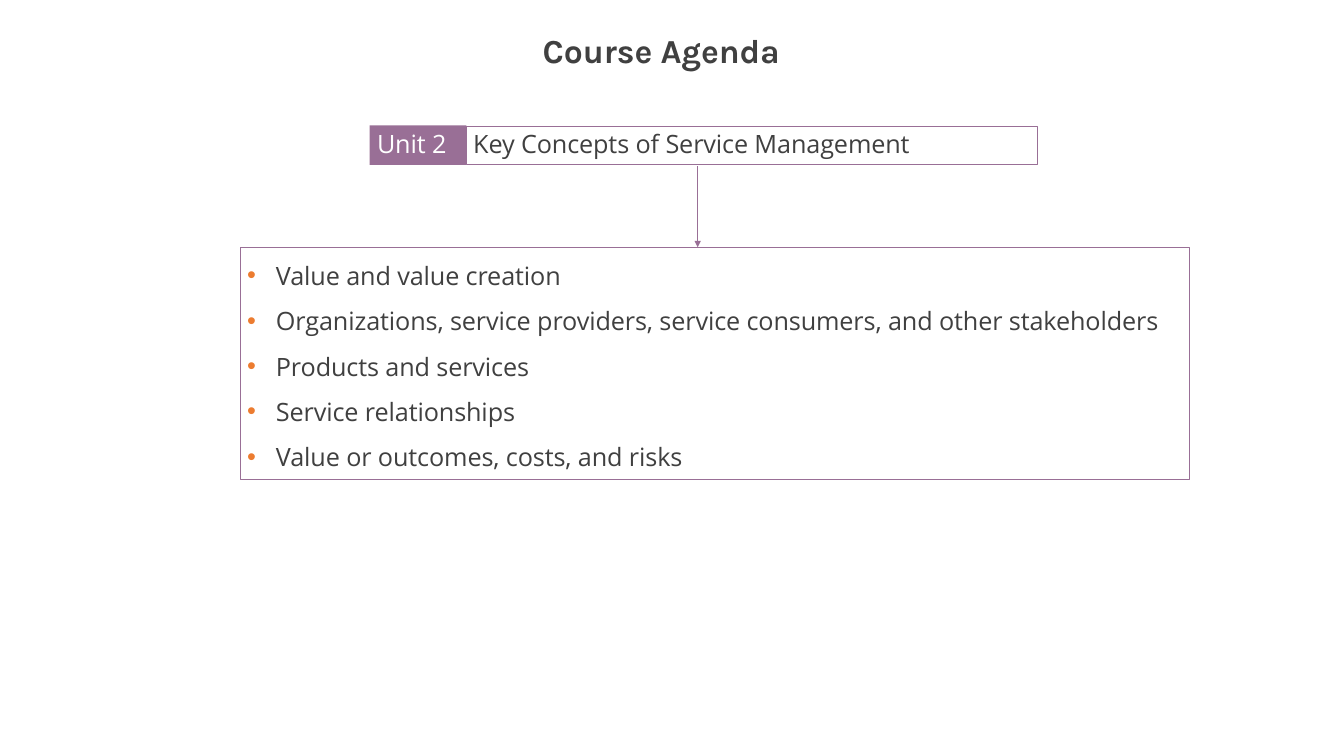
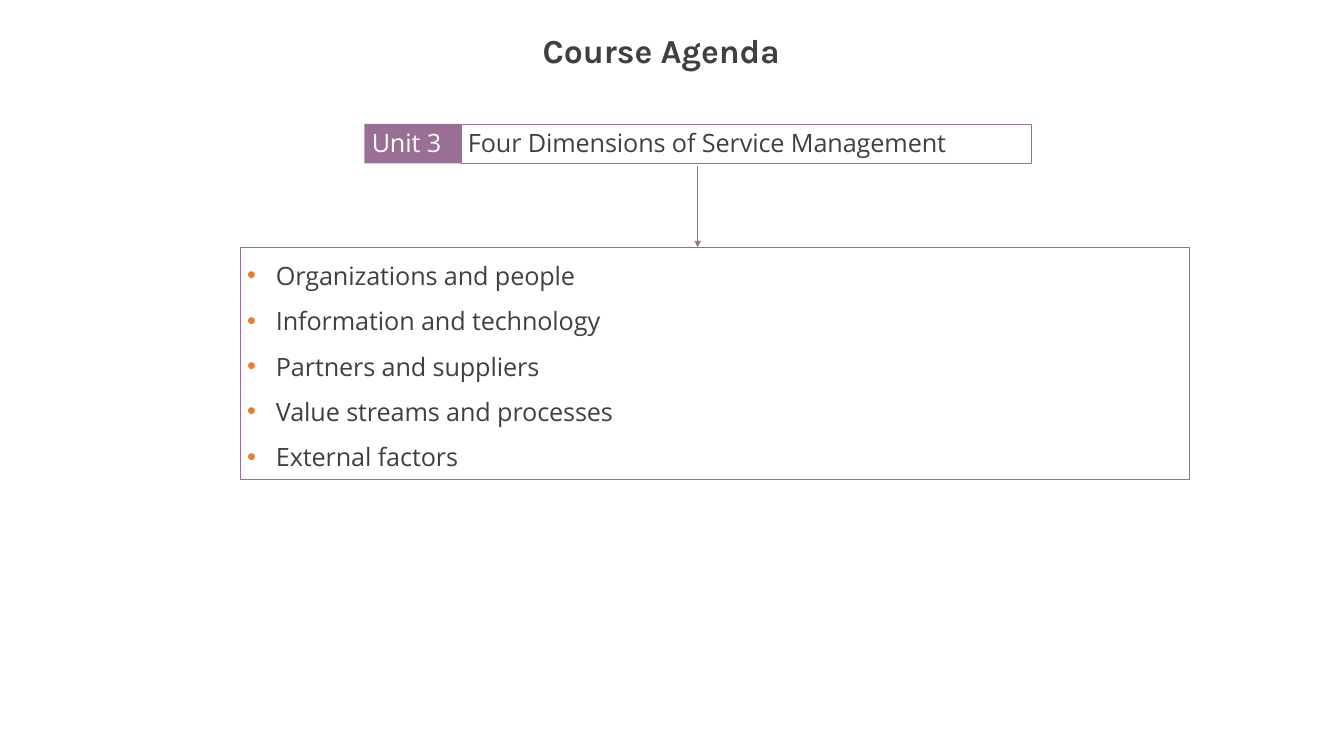
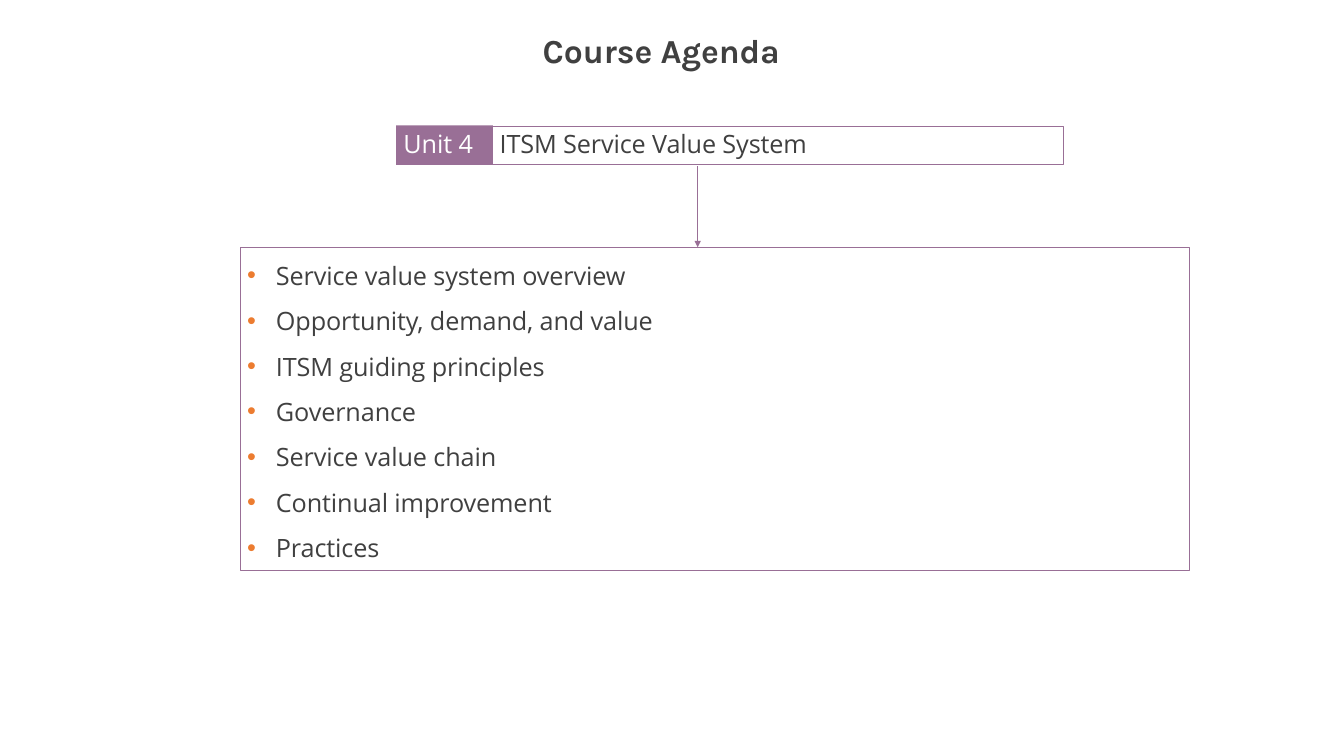
from lxml import etree
from pptx import Presentation, util as u
from pptx.dml.color import RGBColor
from pptx.enum import shapes, text
from pptx.oxml import ns

# Shared style
PURPLE = RGBColor(0x99, 0x6F, 0x96)
ORANGE = RGBColor(0xEC, 0x7C, 0x30)
INK = RGBColor(0x40, 0x40, 0x40)
WHITE = RGBColor(0xFF, 0xFF, 0xFF)
HEAD_FONT, TEXT_FONT = "Karla", "Open Sans"
TEXT_SIZE = 24

# Grid of 100 columns by 100 rows; boxes are (left, top, width, height)
WIDTH, HEIGHT = u.Inches(17.78), u.Inches(10)
TITLE_BOX = (40.27, 3.8, 19.52, 5.6)
LIST_LEFT, LIST_TOP, LIST_WIDTH = 17.89, 32.7, 70.64
ITEM_ROWS, LIST_PADDING = 6.05, 0.45
BANNER_WIDTH, BANNER_HEIGHT, TAG_WIDTH = 49.66, 5.2, 7.2
ARROW_COL, ARROW_TOP = 51.91, 22

# Unit number, banner left and top, unit name, topics
UNITS = [
    (2, 27.5, 16.6, "Key Concepts of Service Management", [
        "Value and value creation",
        "Organizations, service providers, service consumers, "
        "and other stakeholders",
        "Products and services",
        "Service relationships",
        "Value or outcomes, costs, and risks"]),
    (3, 27.11, 16.4, "Four Dimensions of Service Management", [
        "Organizations and people",
        "Information and technology",
        "Partners and suppliers",
        "Value streams and processes",
        "External factors"]),
    (4, 29.47, 16.6, "ITSM Service Value System", [
        "Service value system overview",
        "Opportunity, demand, and value",
        "ITSM guiding principles",
        "Governance",
        "Service value chain",
        "Continual improvement",
        "Practices"]),
]


def col(n):
    return round(WIDTH * n / 100)


def row(n):
    return round(HEIGHT * n / 100)


def place(part, box):
    left, top, width, height = box
    part.left, part.top = col(left), row(top)
    part.width, part.height = col(width), row(height)


def outline(part):
    part.line.color.rgb = PURPLE
    part.line.width = u.Pt(0.72)


def set_frame(part, left=0, top=0):
    """Top-anchored text frame with the given insets in inches."""
    frame = part.text_frame
    frame.word_wrap = True
    frame.auto_size = text.MSO_AUTO_SIZE.NONE
    frame.vertical_anchor = text.MSO_ANCHOR.TOP
    frame.margin_left, frame.margin_top = u.Inches(left), u.Inches(top)
    frame.margin_right = frame.margin_bottom = 0
    return frame


def add_run(paragraph, words, color=INK, font=TEXT_FONT, size=TEXT_SIZE,
            bold=False):
    paragraph.alignment = text.PP_ALIGN.LEFT
    run = paragraph.add_run()
    run.text = words
    run.font.name, run.font.size = font, u.Pt(size)
    run.font.bold, run.font.color.rgb = bold, color
    run.font._element.set("spc", "-10")


def add_bullet(paragraph):
    props = paragraph._p.get_or_add_pPr()
    props.set("marL", str(u.Inches(0.47)))
    props.set("indent", str(u.Inches(-0.38)))
    color = etree.SubElement(props, ns.qn("a:buClr"))
    etree.SubElement(color, ns.qn("a:srgbClr"), val=str(ORANGE))
    etree.SubElement(props, ns.qn("a:buChar"), char="•")


def add_heading(slide, box):
    heading = slide.shapes.title
    place(heading, box)
    paragraph = set_frame(heading, 0.02, 0.01).paragraphs[0]
    paragraph.space_before = u.Pt(1)
    add_run(paragraph, "Course Agenda", font=HEAD_FONT, size=32, bold=True)


def add_topics(slide, topics, box):
    topic_list = slide.placeholders[1]
    place(topic_list, box)
    outline(topic_list)
    frame = set_frame(topic_list, top=0.17)
    for i, topic in enumerate(topics):
        paragraph = frame.add_paragraph() if i else frame.paragraphs[0]
        paragraph.space_before = u.Pt(14.4 if i else 12.1)
        add_bullet(paragraph)
        add_run(paragraph, topic)


def add_panel(slide, box, words, color, inset):
    left, top, width, height = box
    panel = slide.shapes.add_shape(shapes.MSO_SHAPE.RECTANGLE, col(left),
                                   row(top), col(width), row(height))
    panel.shadow.inherit = False
    add_run(set_frame(panel, *inset).paragraphs[0], words, color)
    return panel


def add_banner(slide, number, name, box):
    left, top, width, height = box
    # Unit name
    name_panel = add_panel(
        slide, (left + TAG_WIDTH, top + 0.1, width - TAG_WIDTH, height - 0.1),
        name, INK, (0.09, 0.03))
    name_panel.fill.background()
    outline(name_panel)
    # Unit number
    tag = add_panel(slide, (left, top, TAG_WIDTH, height),
                    f"Unit {number}", WHITE, (0.1, 0.04))
    tag.fill.solid()
    tag.fill.fore_color.rgb = PURPLE
    tag.line.fill.background()


def add_arrow(slide, column, top, bottom):
    arrow = slide.shapes.add_connector(
        shapes.MSO_CONNECTOR.STRAIGHT,
        col(column), row(top), col(column), row(bottom))
    arrow.line.color.rgb = PURPLE
    arrow.line.width = u.Pt(1)
    etree.SubElement(arrow.line._get_or_add_ln(), ns.qn("a:tailEnd"),
                     type="triangle")
    etree.SubElement(arrow._element.spPr, ns.qn("a:effectLst"))


def add_unit_slide(deck, number, left, top, name, topics):
    slide = deck.slides.add_slide(deck.slide_layouts[1])
    list_height = len(topics) * ITEM_ROWS + LIST_PADDING
    add_heading(slide, TITLE_BOX)
    add_topics(slide, topics, (LIST_LEFT, LIST_TOP, LIST_WIDTH, list_height))
    add_arrow(slide, ARROW_COL, ARROW_TOP, LIST_TOP)
    add_banner(slide, number, name, (left, top, BANNER_WIDTH, BANNER_HEIGHT))


def main():
    deck = Presentation()
    deck.slide_width, deck.slide_height = WIDTH, HEIGHT
    for unit in UNITS:
        add_unit_slide(deck, *unit)
    deck.save("out.pptx")


if __name__ == "__main__":
    main()
